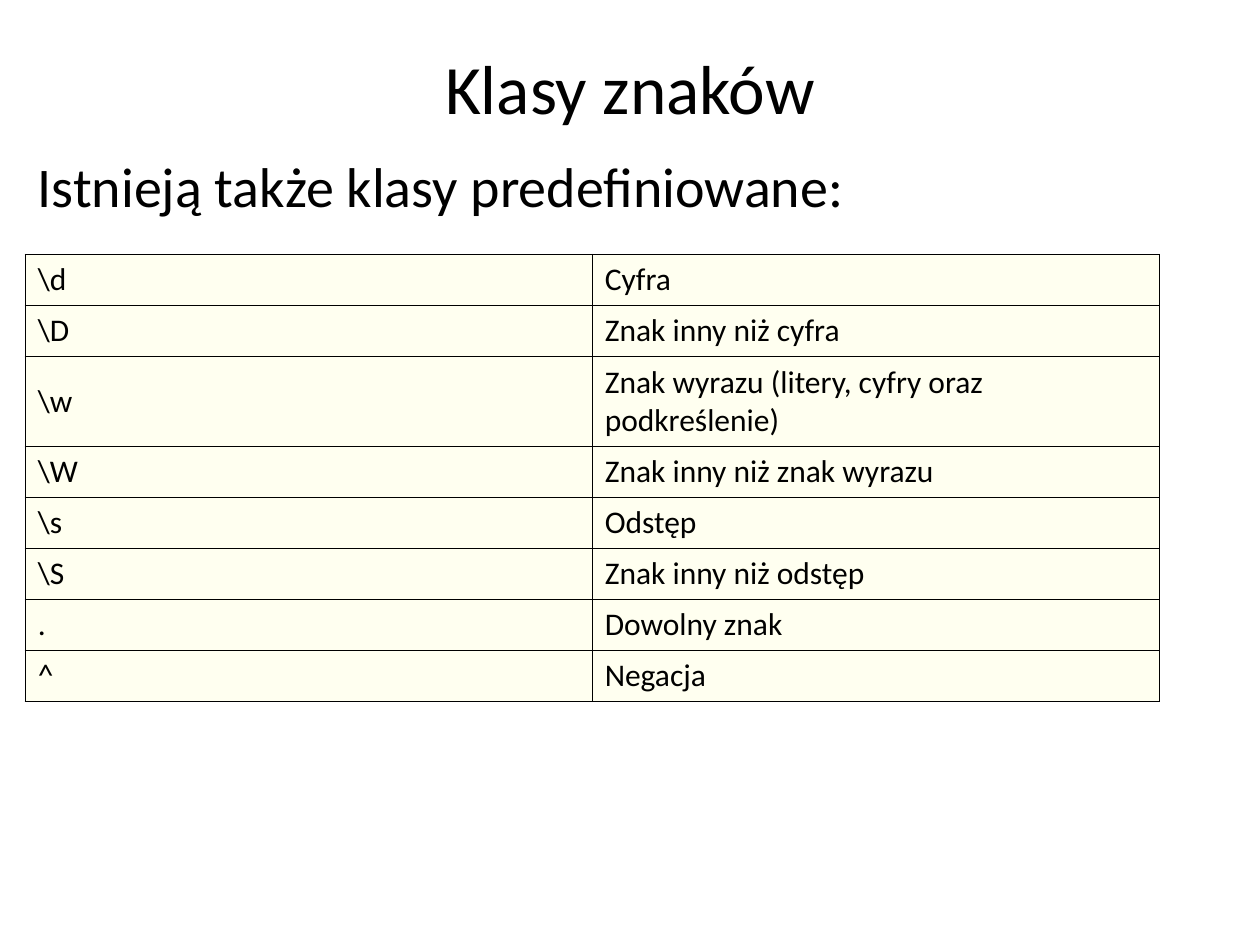
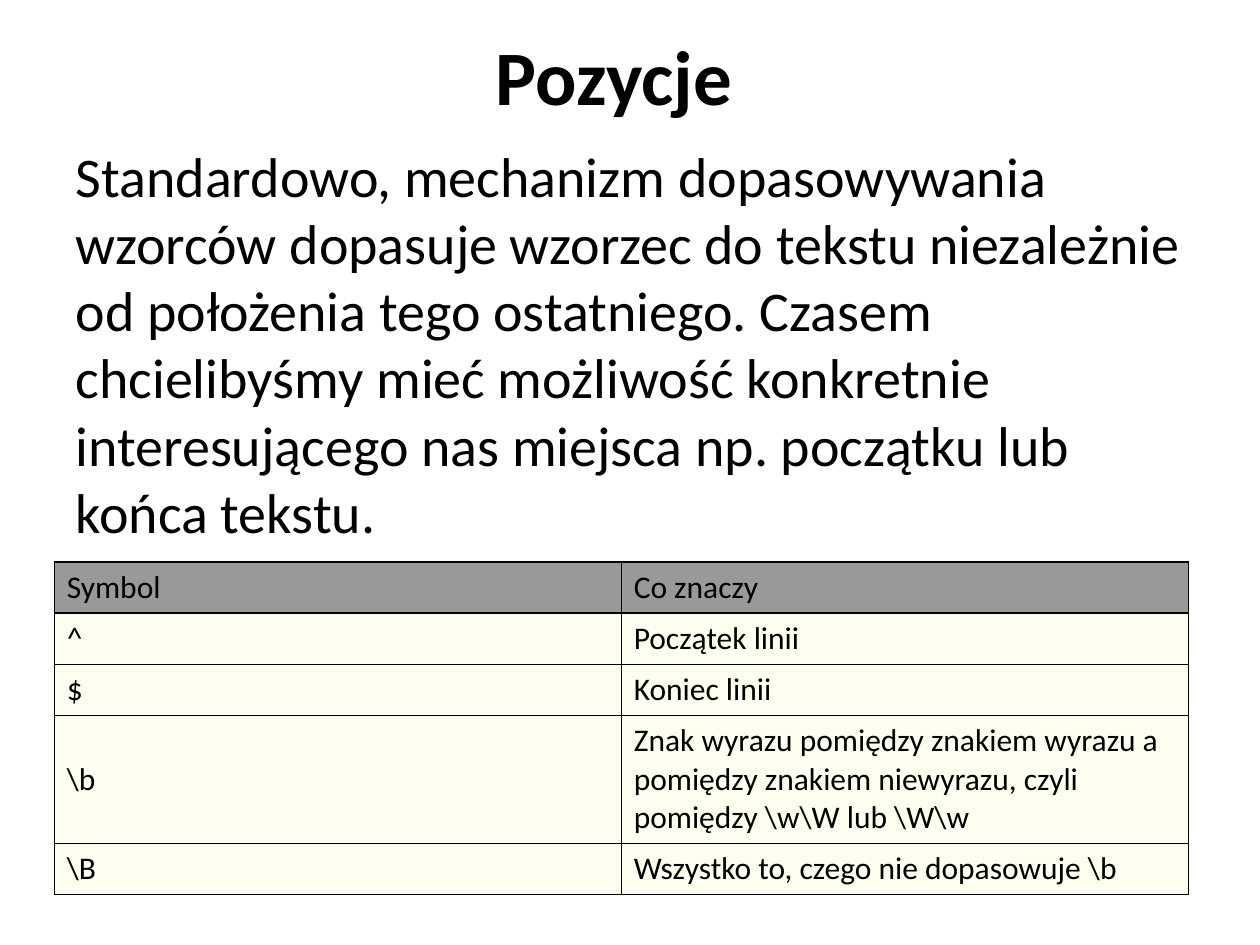
from lxml import etree
from pptx import Presentation
from pptx import util as u
from pptx.dml.color import RGBColor
from pptx.enum import text
from pptx.oxml import ns

FONT = "Calibri"
BLACK, CREAM, GREY, WHITE = "000000", "FFFFF0", "999999", "FFFFFF"
COLUMN_WIDTH = 4.5
LINE_HEIGHT, ROW_PADDING = 0.3, 0.1
BORDER_POINTS = 0.75

SLIDES = [
    {
        "title": "Klasy znaków",
        "title_box": (0.5, 0.3, 9, 0.77),
        "title_font": {"size": u.Pt(39.6), "bold": False},
        "title_right_inset": 0.1,
        "body": "Istnieją także klasy predefiniowane:",
        "body_box": (0.2, 1.15, 9.69, 5.91),
        "table_corner": (0.2, 2.02),
        "header": [],
        "rows": [
            ("\\d", "Cyfra", 1),
            ("\\D", "Znak inny niż cyfra", 1),
            ("\\w", "Znak wyrazu (litery, cyfry oraz podkreślenie)", 2),
            ("\\W", "Znak inny niż znak wyrazu", 1),
            ("\\s", "Odstęp", 1),
            ("\\S", "Znak inny niż odstęp", 1),
            (".", "Dowolny znak", 1),
            ("^", "Negacja", 1),
        ],
    },
    {
        "title": "Pozycje",
        "title_box": (0.51, 0.13, 9, 0.93),
        "title_font": {"size": u.Pt(44), "bold": True},
        "title_right_inset": 0.37,
        "body": "Standardowo, mechanizm dopasowywania wzorców dopasuje wzorzec "
                "do tekstu niezależnie od położenia tego ostatniego. Czasem "
                "chcielibyśmy mieć możliwość konkretnie interesującego nas "
                "miejsca np. początku lub końca tekstu.",
        "body_box": (0.5, 1.07, 9.22, 5.63),
        "table_corner": (0.43, 4.46),
        "header": [("Symbol", "Co znaczy", 1)],
        "rows": [
            ("^", "Początek linii", 1),
            ("$", "Koniec linii", 1),
            ("\\b", "Znak wyrazu pomiędzy znakiem wyrazu a pomiędzy znakiem "
                    "niewyrazu, czyli pomiędzy\u00a0\\w\\W\u00a0lub\u00a0\\W\\w", 3),
            ("\\B", "Wszystko to, czego nie dopasowuje\u00a0\\b", 1),
        ],
    },
]


def color(value):
    return RGBColor.from_string(value)


def apply_format(target, values):
    for name, value in values.items():
        setattr(target, name, value)


def write(frame, content, font_values):
    frame.text = content
    font = frame.paragraphs[0].runs[0].font
    apply_format(font, {"name": FONT, **font_values})
    font.color.rgb = color(BLACK)


def place(shape, box):
    sides = ("left", "top", "width", "height")
    apply_format(shape, dict(zip(sides, map(u.Inches, box))))


def add_title(slide, content):
    title = slide.shapes.title
    place(title, content["title_box"])
    frame = title.text_frame
    write(frame, content["title"], content["title_font"])
    apply_format(frame, {
        "margin_right": u.Inches(content["title_right_inset"]),
        "vertical_anchor": text.MSO_ANCHOR.MIDDLE,
        "auto_size": text.MSO_AUTO_SIZE.NONE,
    })
    frame.paragraphs[0].alignment = text.PP_ALIGN.CENTER


def add_body(slide, content):
    body = slide.placeholders[1]
    place(body, content["body_box"])
    frame = body.text_frame
    write(frame, content["body"], {"size": u.Pt(32)})
    frame.auto_size = text.MSO_AUTO_SIZE.NONE
    properties = frame.paragraphs[0]._p.get_or_add_pPr()
    properties.set("marL", "0")
    properties.set("indent", "0")
    etree.SubElement(properties, ns.qn("a:buNone"))


def add_borders(cell):
    properties = cell._tc.get_or_add_tcPr()
    for side in ("lnL", "lnR", "lnT", "lnB"):
        line = etree.SubElement(properties, ns.qn("a:" + side), w=str(u.Pt(BORDER_POINTS)))
        fill = etree.SubElement(line, ns.qn("a:solidFill"))
        etree.SubElement(fill, ns.qn("a:srgbClr"), val=BLACK)


def add_symbol_table(slide, content):
    rows = content["header"] + content["rows"]
    heights = [ROW_PADDING + LINE_HEIGHT * lines for _, _, lines in rows]
    box = (*content["table_corner"], 2 * COLUMN_WIDTH, sum(heights))
    table = slide.shapes.add_table(len(rows), 2, *map(u.Inches, box)).table
    apply_format(table, {"first_row": bool(content["header"]), "horz_banding": False})
    for row_index, (symbol, meaning, _) in enumerate(rows):
        table.rows[row_index].height = u.Inches(heights[row_index])
        shade = GREY if row_index < len(content["header"]) else CREAM
        for column_index, words in enumerate((symbol, meaning)):
            cell = table.cell(row_index, column_index)
            write(cell.text_frame, words, {"size": u.Pt(18), "bold": False})
            cell.vertical_anchor = text.MSO_ANCHOR.MIDDLE
            add_borders(cell)
            cell.fill.solid()
            cell.fill.fore_color.rgb = color(shade)


presentation = Presentation()
apply_format(presentation, {"slide_width": u.Inches(10), "slide_height": u.Inches(7.5)})
background = presentation.slide_master.background.fill
background.solid()
background.fore_color.rgb = color(WHITE)

for content in SLIDES:
    slide = presentation.slides.add_slide(presentation.slide_layouts[1])
    add_title(slide, content)
    add_body(slide, content)
    add_symbol_table(slide, content)

presentation.save("out.pptx")
